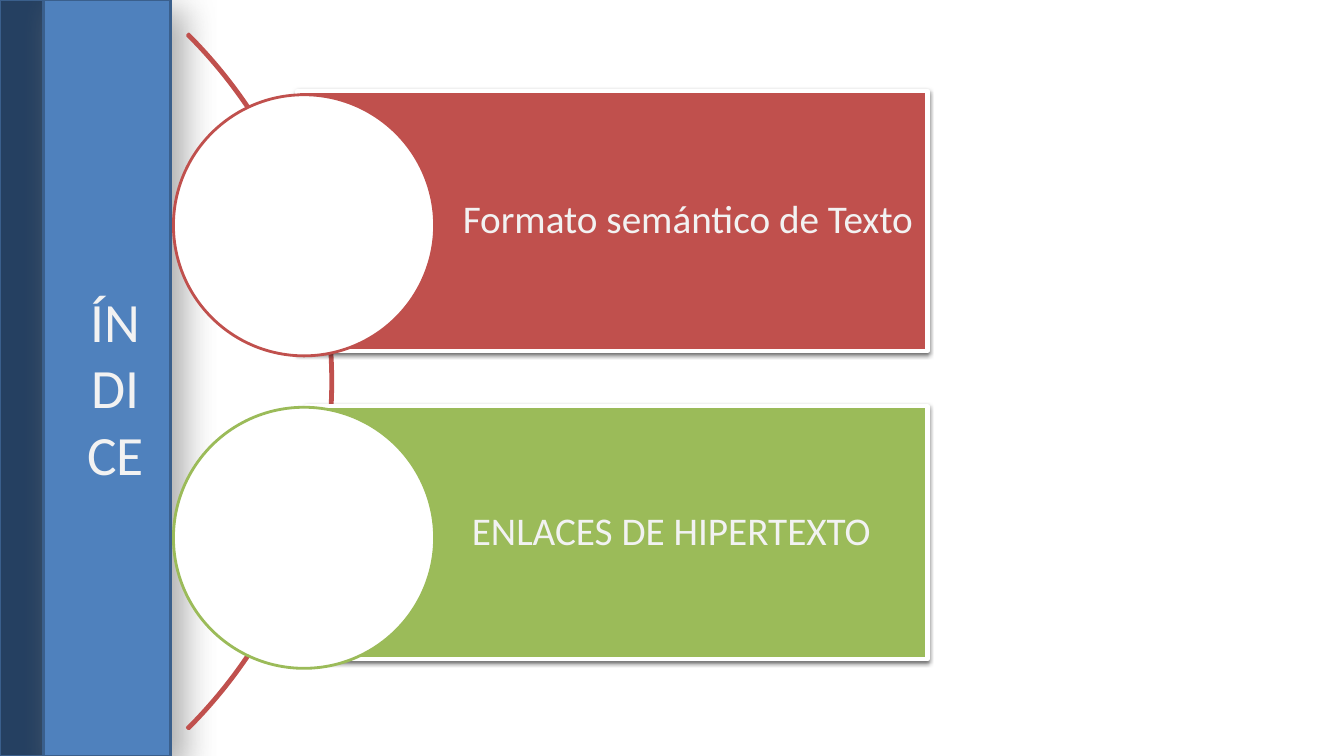
"""Build the index slide: a blue spine, an arc and two topic banners with circles."""
from lxml import etree
from pptx import Presentation
from pptx import util as u
from pptx.dml.color import RGBColor
from pptx.enum import shapes, text
from pptx.oxml.ns import qn

PX = 9144
NAVY = RGBColor(0x25, 0x40, 0x61)
BLUE = RGBColor(0x4F, 0x81, 0xBD)
EDGE = RGBColor(0x3A, 0x5F, 0x8C)
RED = RGBColor(0xC0, 0x50, 0x4D)
GREEN = RGBColor(0x9B, 0xBB, 0x59)
WHITE = RGBColor(0xFF, 0xFF, 0xFF)
PALE = RGBColor(0xF2, 0xF2, 0xF2)
GREY = RGBColor(0x80, 0x80, 0x80)
BLACK = RGBColor(0x00, 0x00, 0x00)

deck = Presentation()
deck.slide_width = 1333 * PX
deck.slide_height = 750 * PX
page = deck.slides.add_slide(deck.slide_layouts[6])


def add_figure(kind, left, top, width, height, fill, line, points):
    figure = page.shapes.add_shape(kind, left * PX, top * PX, width * PX, height * PX)
    figure.shadow.inherit = False
    if fill is None:
        figure.fill.background()
    else:
        figure.fill.solid()
        figure.fill.fore_color.rgb = fill
    figure.line.color.rgb = line
    figure.line.width = u.Pt(points)
    return figure


def add_shadow(figure, color, opacity, blur, distance, angle):
    effects = figure._element.spPr.find(qn("a:effectLst"))
    shadow = etree.SubElement(
        effects, qn("a:outerShdw"), blurRad=str(u.Pt(blur)), dist=str(u.Pt(distance)),
        dir=str(angle * 60000), algn="tl", rotWithShape="0")
    tint = etree.SubElement(shadow, qn("a:srgbClr"), val=str(color))
    etree.SubElement(tint, qn("a:alpha"), val=str(opacity * 1000))


for left, fill in ((0, NAVY), (43, BLUE)):
    spine = add_figure(shapes.MSO_SHAPE.RECTANGLE, left, 0, 126, 750, fill, EDGE, 2)
    add_shadow(spine, GREY, 65, 24, 11, 45)

title = page.shapes.add_textbox(75 * PX, 29 * PX, 79 * PX, 709 * PX)
title.text_frame.word_wrap = True
title.text_frame.vertical_anchor = text.MSO_ANCHOR.MIDDLE
para = title.text_frame.paragraphs[0]
para.text = "ÍNDICE"
para.alignment = text.PP_ALIGN.CENTER
para.font.name = "Calibri"
para.font.size = u.Pt(39.6)
para.font.color.rgb = PALE

arc = add_figure(shapes.MSO_SHAPE.BLOCK_ARC, -645, -109, 975, 975, None, RED, 2)
for index, value in enumerate((189, 27, 0.002)):
    arc.adjustments[index] = value

topics = (
    ("Formato semántico de Texto", RED, 295, 90, 258, 94),
    ("ENLACES DE HIPERTEXTO", GREEN, 304, 403, 251, 404),
)
for label, color, left, top, height, circle_top in topics:
    banner = add_figure(
        shapes.MSO_SHAPE.RECTANGLE, left, top, 920 - left, height, color, WHITE, 3)
    add_shadow(banner, BLACK, 55, 3.1, 1.6, 90)
    frame = banner.text_frame
    frame.word_wrap = True
    frame.vertical_anchor = text.MSO_ANCHOR.MIDDLE
    frame.margin_left = 164 * PX
    frame.margin_top = frame.margin_right = frame.margin_bottom = 8 * PX
    para = frame.paragraphs[0]
    para.text = label
    para.alignment = text.PP_ALIGN.LEFT
    para.line_spacing = 0.9
    para.font.name = "Calibri"
    para.font.size = u.Pt(28)
    para.font.color.rgb = PALE
    add_figure(shapes.MSO_SHAPE.OVAL, 172, circle_top, 259, 259, WHITE, color, 2)

deck.save("out.pptx")
